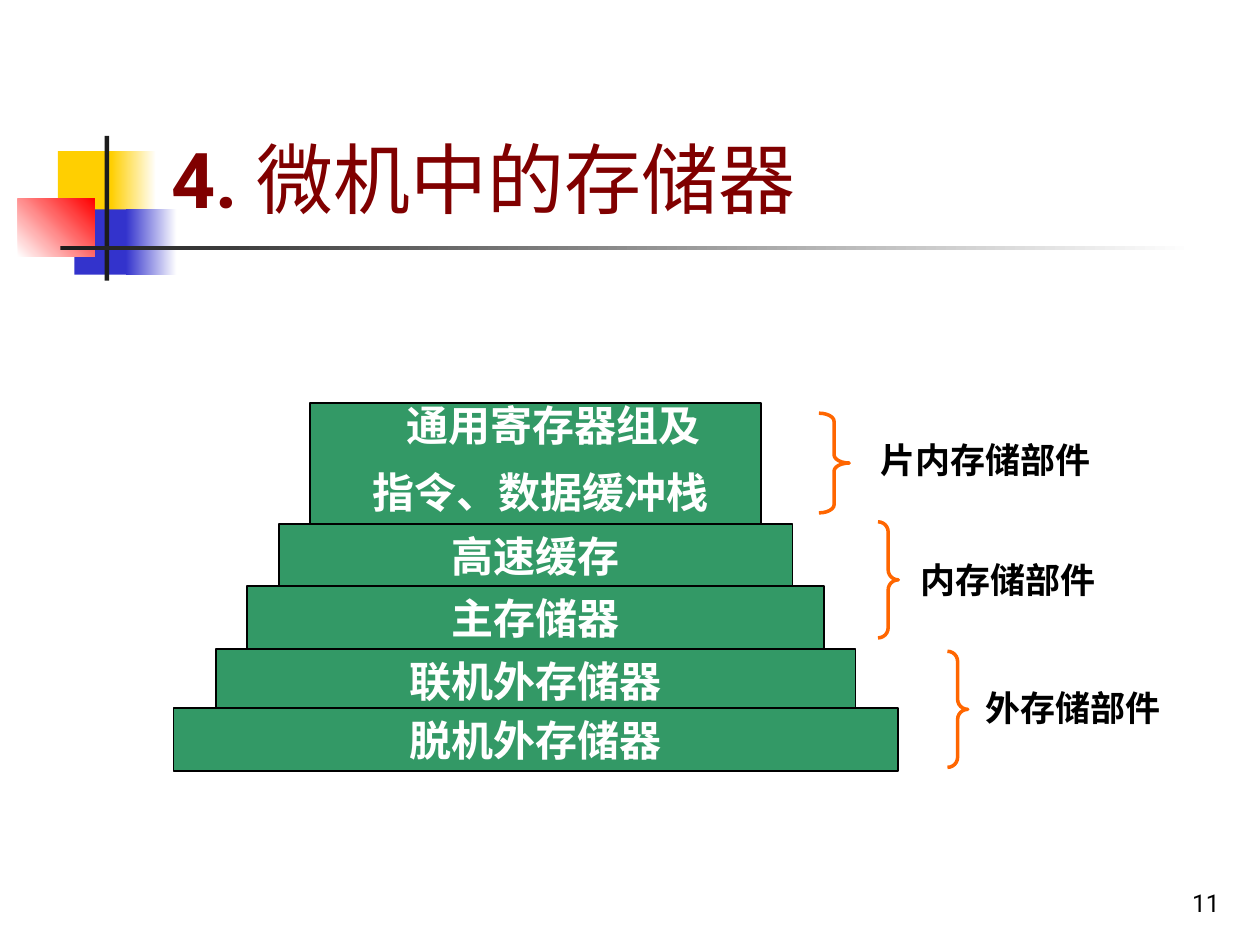
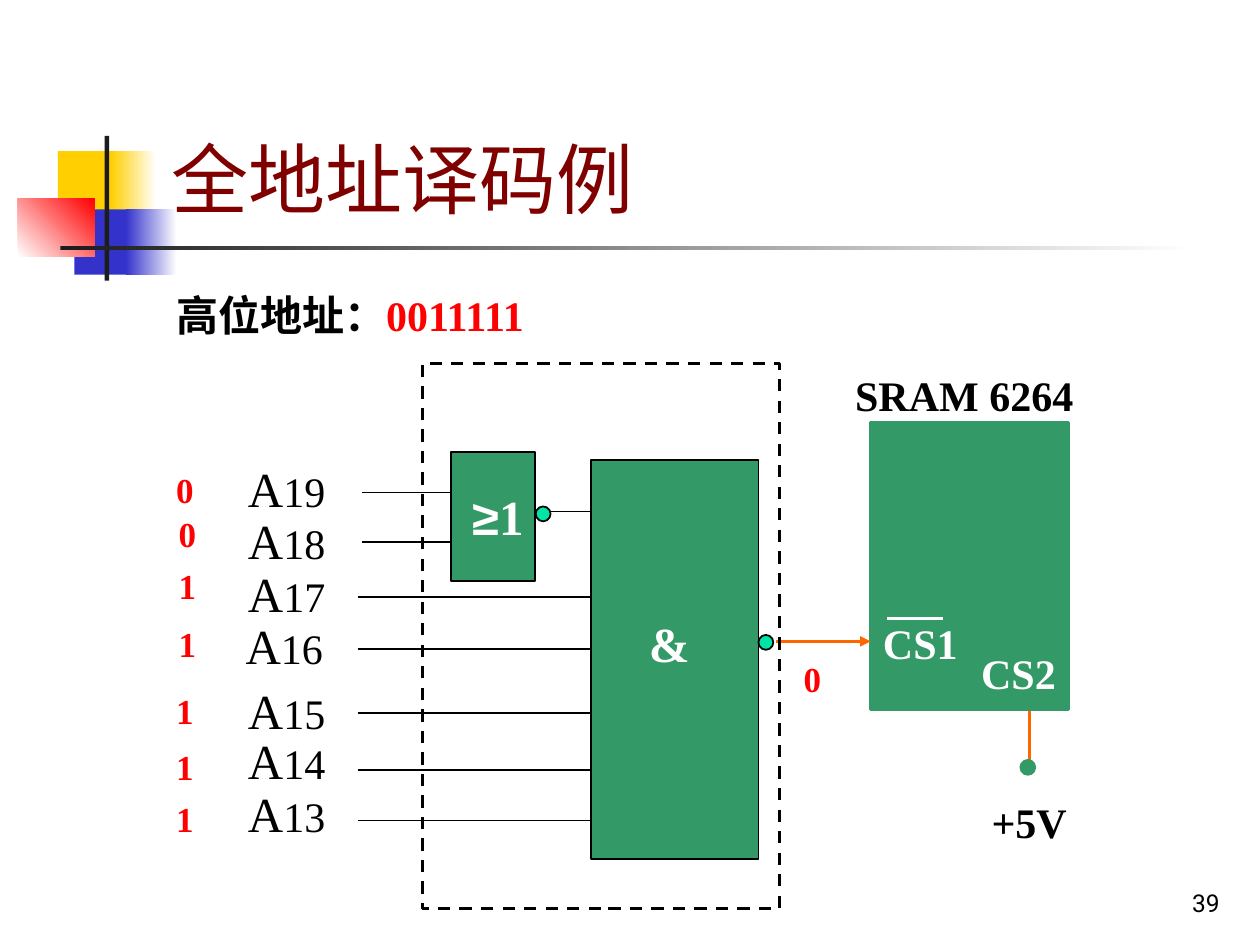
import dataclasses

import lxml.etree
import pptx
import pptx.dml.color
import pptx.enum.dml
import pptx.enum.lang
import pptx.enum.shapes
import pptx.enum.text
import pptx.oxml.ns
import pptx.util

Cm = pptx.util.Cm
Pt = pptx.util.Pt
Preset = pptx.enum.shapes.MSO_SHAPE
Align = pptx.enum.text.PP_ALIGN
Anchor = pptx.enum.text.MSO_ANCHOR


@dataclasses.dataclass(frozen=True)
class Theme:
    black: str = "000000"
    white: str = "FFFFFF"
    red: str = "FF0000"
    maroon: str = "800000"
    green: str = "339966"
    mint: str = "00E4A8"
    orange: str = "FF6600"
    yellow: str = "FFCF01"
    blue: str = "3333CC"
    charcoal: str = "1C1C1C"
    heading_font: str = "Roboto"
    body_font: str = "Times New Roman"
    symbol_font: str = "Arial"
    title_size: int = 44
    gate_size: int = 28
    body_size: int = 24
    label_size: int = 20
    page_size: int = 14
    thin: float = 1
    medium: float = 1.75
    thick: float = 2


THEME = Theme()

# All places and sizes are in centimetres: left, top, width, height.
# Title bands: box, start colour, end colour (None for a plain fill), angle
BANDS = [
    ((1.17, 3.05, 1.22, 1.32), THEME.yellow, None, 0),
    ((2.24, 3.05, 0.91, 1.32), THEME.yellow, THEME.white, 0),
    ((1.5, 4.22, 1.17, 1.32), THEME.blue, None, 0),
    ((2.54, 4.22, 1.02, 1.32), THEME.blue, THEME.white, 0),
    ((0.36, 4.01, 1.55, 1.17), THEME.white, THEME.red, 45),
    ((2.11, 2.74, 0.09, 2.92), THEME.charcoal, None, 0),
    ((1.22, 4.95, 22.86, 0.1), THEME.charcoal, THEME.white, 0),
]
TITLE_BOX = (3.2, 0.58, 21.64, 4.06)
PAGE_BOX = (19.56, 17.35, 5.28, 1.27)

# Memory pyramid: top, width, height, lines of (text, left indent)
PYRAMID_CENTRE = 10.8
TIERS = [
    (8.13, 9.09, 2.54, [("通用寄存器组及", 0.7), ("指令、数据缓冲栈", 0.2)]),
    (10.57, 10.36, 1.27, [("高速缓存", 0)]),
    (11.81, 11.63, 1.27, [("主存储器", 0)]),
    (13.08, 12.9, 1.27, [("联机外存储器", 0)]),
    (14.27, 14.6, 1.27, [("脱机外存储器", 0)]),
]
# Groups: label, label place, brace box, brace curvature
GROUPS = [
    ("片内存储部件", (17.5, 8.71), (16.51, 8.33, 0.61, 2.01), 0.27),
    ("内存储部件", (18.31, 11.13), (17.7, 10.52, 0.41, 2.34), 0.5),
    ("外存储部件", (19.61, 13.72), (19.1, 13.13, 0.41, 2.34), 0.5),
]

CHIP = (17.55, 8.51, 3.99, 5.79)
AND_GATE = (11.91, 9.27, 3.38, 8.05)
OR_GATE = (9.09, 9.12, 1.7, 2.59)
DECODER_FRAME = (8.51, 7.32, 7.21, 11)
OR_BUBBLE = (10.8, 10.21)
AND_BUBBLE = (15.29, 12.8)
SUPPLY_DOT = (20.57, 15.32)
DOT_SIZE = 0.3
OR_INPUT_LEFT, AND_INPUT_LEFT = 7.29, 7.21
# Address inputs: line number, line level, label place, bit, bit place, gate
ADDRESS_INPUTS = [
    ("19", 9.93, (4.75, 9.12), "0", (3.3, 9.32), "or"),
    ("18", 10.92, (4.75, 10.16), "0", (3.35, 10.21), "or"),
    ("17", 12.04, (4.75, 11.23), "1", (3.35, 11.25), "and"),
    ("16", 13.08, (4.7, 12.29), "1", (3.35, 12.42), "and"),
    ("15", 14.38, (4.75, 13.59), "1", (3.3, 13.77), "and"),
    ("14", 15.52, (4.75, 14.61), "1", (3.3, 14.91), "and"),
    ("13", 16.54, (4.75, 15.67), "1", (3.3, 15.95), "and"),
]
# Captions: text, box, colour
CAPTIONS = [
    ("CS1", (17.55, 12.32, 2.39, 1.27), THEME.white),
    ("CS2", (19.53, 12.93, 2.39, 1.27), THEME.white),
    ("SRAM 6264", (16.99, 7.32, 5.2, 1.27), THEME.black),
    ("+5V", (19.74, 15.93, 2.59, 1.27), THEME.black),
]


def rgb(colour):
    return pptx.dml.color.RGBColor.from_string(colour)


def run_of(text, size, colour=THEME.black, bold=True, font=THEME.body_font):
    """Describe one run of text."""
    return text, size, colour, bold, font


def write(paragraph, runs):
    for text, size, colour, bold, font in runs:
        run = paragraph.add_run()
        run.text = text
        run.font.name = font
        run.font.size = Pt(size)
        run.font.bold = bold
        run.font.color.rgb = rgb(colour)
        if any("\u4e00" <= letter <= "\u9fff" for letter in text):
            run.font.language_id = pptx.enum.lang.MSO_LANGUAGE_ID.SIMPLIFIED_CHINESE


def add_text(slide, box, runs, align=Align.LEFT, anchor=Anchor.TOP):
    frame = slide.shapes.add_textbox(*map(Cm, box)).text_frame
    frame.word_wrap = True
    frame.vertical_anchor = anchor
    frame.paragraphs[0].alignment = align
    write(frame.paragraphs[0], runs)


def add_preset(slide, preset, box, fill=None, line=None, width=THEME.thin):
    shape = slide.shapes.add_shape(preset, *map(Cm, box))
    shape.shadow.inherit = False
    if fill:
        shape.fill.solid()
        shape.fill.fore_color.rgb = rgb(fill)
    else:
        shape.fill.background()
    if line:
        shape.line.color.rgb = rgb(line)
        shape.line.width = Pt(width)
    else:
        shape.line.fill.background()
    return shape


def add_dot(slide, place, fill, line):
    add_preset(slide, Preset.OVAL, (*place, DOT_SIZE, DOT_SIZE), fill, line)


def add_wire(slide, start, end, colour=THEME.black, width=THEME.thin, arrow=False):
    connector = slide.shapes.add_connector(
        pptx.enum.shapes.MSO_CONNECTOR.STRAIGHT, *map(Cm, (*start, *end)))
    connector.line.color.rgb = rgb(colour)
    connector.line.width = Pt(width)
    qn = pptx.oxml.ns.qn
    if arrow:
        line = connector.line._get_or_add_ln()
        lxml.etree.SubElement(line, qn("a:tailEnd"), type="triangle")
    lxml.etree.SubElement(connector._element.spPr, qn("a:effectLst"))


def add_base_slide(presentation, title_runs, page):
    """Add a blank slide with the shared bands, title and page number."""
    slide = presentation.slides.add_slide(presentation.slide_layouts[6])
    for box, start, end, angle in BANDS:
        band = add_preset(slide, Preset.RECTANGLE, box, start)
        if end:
            band.fill.gradient()
            band.fill.gradient_angle = angle
            for stop, colour in zip(band.fill.gradient_stops, (start, end)):
                stop.color.rgb = rgb(colour)
    page_run = run_of(page, THEME.page_size, bold=False, font=THEME.heading_font)
    add_text(slide, PAGE_BOX, [page_run], Align.RIGHT, Anchor.BOTTOM)
    add_text(slide, TITLE_BOX,
             [run_of(text, THEME.title_size, THEME.maroon, bold, THEME.heading_font)
              for text, bold in title_runs], anchor=Anchor.BOTTOM)
    return slide


def add_tier(slide, top, width, height, lines):
    box = (PYRAMID_CENTRE - width / 2, top, width, height)
    shape = add_preset(slide, Preset.RECTANGLE, box, THEME.green, THEME.black)
    frame = shape.text_frame
    frame.vertical_anchor = Anchor.TOP
    for index, (text, indent) in enumerate(lines):
        paragraph = frame.add_paragraph() if index else frame.paragraphs[0]
        paragraph.alignment = Align.CENTER
        if len(lines) > 1:
            paragraph.line_spacing = 0.8
            paragraph.space_before = Pt(15)
        if indent:
            paragraph._p.get_or_add_pPr().set("marL", str(Cm(indent)))
        write(paragraph, [run_of(text, THEME.body_size, THEME.white)])


def build_memory_slide(presentation):
    slide = add_base_slide(
        presentation, [("4. ", True), ("微机中的存储器", False)], "11")
    for tier in TIERS:
        add_tier(slide, *tier)
    for label, place, brace_box, curvature in GROUPS:
        brace = add_preset(slide, Preset.RIGHT_BRACE, brace_box,
                           line=THEME.orange, width=THEME.thick)
        brace.adjustments[0] = curvature
        add_text(slide, (*place, 5.2, 1.12), [run_of(label, THEME.label_size)])


def add_bit(slide, bit, place):
    add_text(slide, (*place, 0.99, 1.12),
             [run_of(bit, THEME.label_size, THEME.red)])


def build_decoder_slide(presentation):
    slide = add_base_slide(presentation, [("全地址译码例", False)], "39")
    add_text(slide, (3.3, 5.72, 12.6, 1.27),
             [run_of("高位地址：", THEME.body_size),
              run_of("0011111", THEME.body_size, THEME.red)])

    add_preset(slide, Preset.RECTANGLE, CHIP, THEME.green, THEME.green, THEME.medium)
    for gate in (AND_GATE, OR_GATE):
        add_preset(slide, Preset.RECTANGLE, gate, THEME.green, THEME.black)
    add_text(slide, (12.83, 12.24, 1.91, 1.45),
             [run_of("&", THEME.gate_size, THEME.white)])
    add_text(slide, (9.27, 9.68, 1.91, 1.45),
             [run_of("≥", THEME.gate_size, THEME.white, font=THEME.symbol_font),
              run_of("1", THEME.gate_size, THEME.white)])

    wire_ends = {"or": (OR_INPUT_LEFT, OR_GATE[0]),
                 "and": (AND_INPUT_LEFT, AND_GATE[0])}
    for number, level, label_place, bit, bit_place, gate in ADDRESS_INPUTS:
        left, right = wire_ends[gate]
        add_wire(slide, (left, level), (right, level))
        add_text(slide, (*label_place, 2.54, 1.45),
                 [run_of("A", THEME.gate_size, bold=False),
                  run_of(number, THEME.body_size, bold=False)])
        add_bit(slide, bit, bit_place)
    add_bit(slide, "0", (15.95, 13.13))

    add_wire(slide, (11.05, 10.31), (AND_GATE[0], 10.31))
    add_wire(slide, (15.65, 12.93), (CHIP[0], 12.93),
             THEME.orange, THEME.medium, arrow=True)
    add_wire(slide, (20.75, 14.33), (20.75, 15.52), THEME.orange, THEME.medium)
    for bubble in (OR_BUBBLE, AND_BUBBLE):
        add_dot(slide, bubble, THEME.mint, THEME.black)
    add_dot(slide, SUPPLY_DOT, THEME.green, THEME.green)

    for text, box, colour in CAPTIONS:
        add_text(slide, box, [run_of(text, THEME.body_size, colour)])
    add_wire(slide, (17.88, 12.47), (19, 12.47), THEME.white, THEME.medium)
    # The bar of CS1 is white on the chip; the frame is drawn above the wires.
    frame = add_preset(slide, Preset.RECTANGLE, DECODER_FRAME,
                       line=THEME.black, width=THEME.medium)
    frame.line.dash_style = pptx.enum.dml.MSO_LINE.DASH


def main():
    presentation = pptx.Presentation()
    presentation.slide_width = Cm(25.4)
    presentation.slide_height = Cm(19.05)
    build_memory_slide(presentation)
    build_decoder_slide(presentation)
    presentation.save("out.pptx")


if __name__ == "__main__":
    main()
